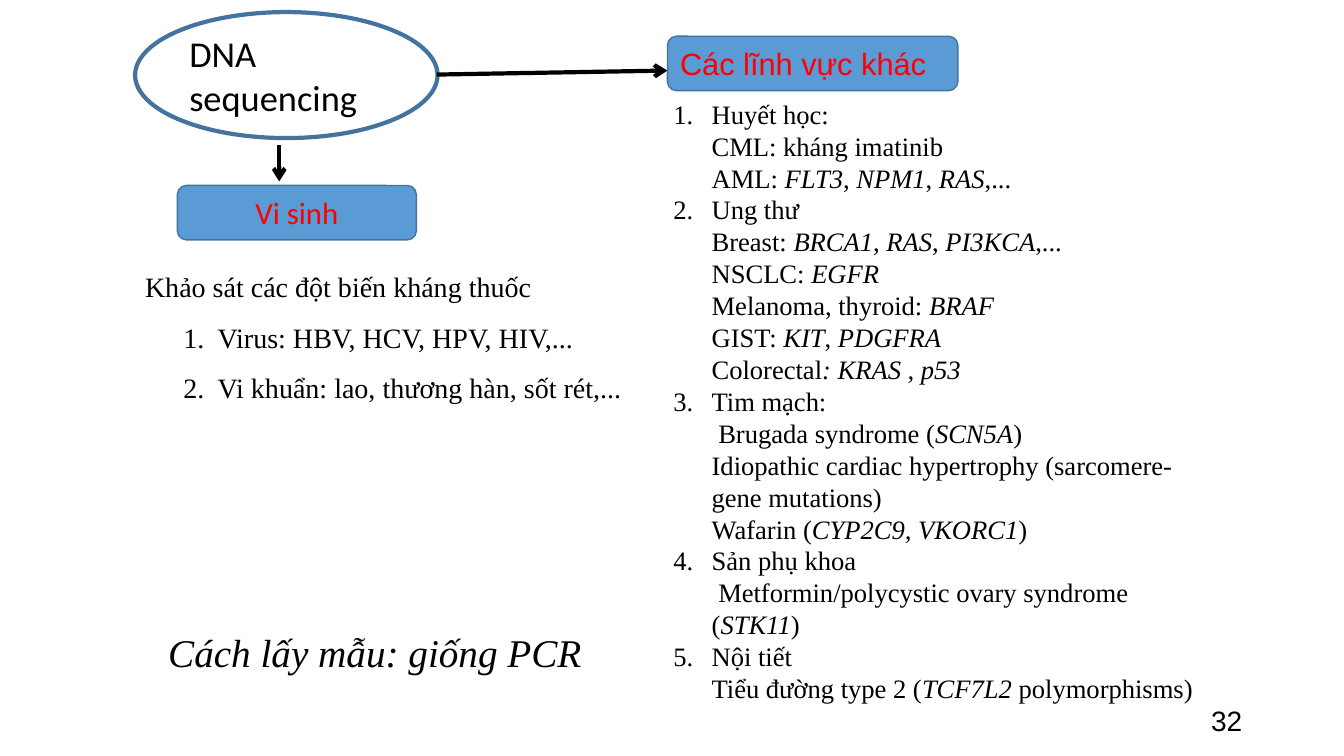
from lxml import etree
from pptx import Presentation
from pptx.dml.color import RGBColor
from pptx.enum.shapes import MSO_CONNECTOR, MSO_SHAPE
from pptx.enum.text import MSO_ANCHOR, PP_ALIGN
from pptx.oxml.ns import qn
from pptx.util import Inches, Pt

OVAL, ROUND = MSO_SHAPE.OVAL, MSO_SHAPE.ROUNDED_RECTANGLE
LINE = MSO_CONNECTOR.STRAIGHT
MIDDLE, TOP = MSO_ANCHOR.MIDDLE, MSO_ANCHOR.TOP
LEFT, CENTER, RIGHT = PP_ALIGN.LEFT, PP_ALIGN.CENTER, PP_ALIGN.RIGHT
SERIF, SANS, BODY = "Times New Roman", "Arial", "Calibri"
BLACK, RED, BLUE, EDGE = "000000", "FF0000", "5B9BD5", "43739E"

GERMS = ["Virus: HBV, HCV, HPV, HIV,...", "Vi khuẩn: lao, thương hàn, sốt rét,..."]
FIELDS = [
    ["Huyết học:", "CML: kháng imatinib", "AML: *FLT3*, *NPM1*, *RAS*,..."],
    ["Ung thư", "Breast: *BRCA1*, *RAS*, *PI3KCA*,...", "NSCLC: *EGFR*",
     "Melanoma, thyroid: *BRAF*", "GIST: *KIT*, *PDGFRA*",
     "Colorectal*: KRAS , p53*"],
    ["Tim mạch:", " Brugada syndrome (*SCN5A*)",
     "Idiopathic cardiac hypertrophy (sarcomere-gene mutations)",
     "Wafarin (*CYP2C9, VKORC1*)"],
    ["Sản phụ khoa", " Metformin/polycystic ovary syndrome (*STK11*)"],
    ["Nội tiết", "Tiểu đường type 2 (*TCF7L2* polymorphisms)"],
]


def color(code):
    """Turn a hex string into a colour."""
    return RGBColor.from_string(code)


def style(para, size, face, tint=BLACK, align=LEFT):
    """Set the font and alignment of a paragraph."""
    para.alignment = align
    para.font.size, para.font.name = Pt(size), face
    para.font.color.rgb = color(tint)


def number(para, margin, hang):
    """Give a paragraph an automatic number with a hanging indent."""
    props = para._p.get_or_add_pPr()
    props.set("marL", str(Inches(margin)))
    props.set("indent", str(-Inches(hang)))
    etree.SubElement(props, qn("a:buFont"), typeface="+mj-lt")
    etree.SubElement(props, qn("a:buAutoNum"), type="arabicPeriod")


def write(para, lines):
    """Write lines split by breaks, with starred parts in italics."""
    for row, line in enumerate(lines):
        if row:
            para.add_line_break()
        for part, text in enumerate(line.split("*")):
            if text:
                run = para.add_run()
                run.text = text
                run.font.italic = part % 2 == 1


def textbox(slide, box, anchor=TOP, wrap=True):
    """Add a text box and return its frame."""
    frame = slide.shapes.add_textbox(*map(Inches, box)).text_frame
    frame.word_wrap, frame.vertical_anchor = wrap, anchor
    return frame


def label(slide, box, text, size, face, align=LEFT, anchor=TOP, wrap=True):
    """Add a text box of one line and return its paragraph."""
    para = textbox(slide, box, anchor, wrap).paragraphs[0]
    para.text = text
    style(para, size, face, BLACK, align)
    return para


def node(slide, kind, box, text, size, face, tint, align, fill, width):
    """Add an outlined shape with text."""
    shape = slide.shapes.add_shape(kind, *map(Inches, box))
    shape.shadow.inherit = False
    if fill:
        shape.fill.solid()
        shape.fill.fore_color.rgb = color(fill)
    else:
        shape.fill.background()
    shape.line.color.rgb, shape.line.width = color(EDGE), Pt(width)
    frame = shape.text_frame
    frame.word_wrap, frame.vertical_anchor = True, MIDDLE
    frame.text = text
    style(frame.paragraphs[0], size, face, tint, align)


def arrow(slide, *ends):
    """Add a black arrow from one point to another."""
    link = slide.shapes.add_connector(LINE, *map(Inches, ends))
    link.line.color.rgb, link.line.width = color(BLACK), Pt(3)
    etree.SubElement(link.line._get_or_add_ln(), qn("a:tailEnd"), type="arrow")
    etree.SubElement(link._element.spPr, qn("a:effectLst"))


def germs(slide, left, top, width):
    """Add the microbiology branch."""
    node(slide, ROUND, (left + 0.42, top, 2.37, 0.54), "Vi sinh",
         22, BODY, RED, CENTER, BLUE, 1)
    frame = textbox(slide, (left, top + 0.62, width, 1.62))
    for row, text in enumerate(["Khảo sát các đột biến kháng thuốc"] + GERMS):
        para = frame.add_paragraph() if row else frame.paragraphs[0]
        para.text, para.line_spacing = text, 1.5
        if row:
            number(para, 0.72, 0.34)
        style(para, 20, SERIF)


def fields(slide, left, top, width):
    """Add the branch of other fields."""
    node(slide, ROUND, (left + 0.04, top, 2.88, 0.54), "Các lĩnh vực khác",
         22, SANS, RED, LEFT, BLUE, 1)
    frame = textbox(slide, (left, top + 0.56, width, 6.5))
    for row, lines in enumerate(FIELDS):
        para = frame.add_paragraph() if row else frame.paragraphs[0]
        number(para, 0.38, 0.38)
        write(para, lines)
        style(para, 19, SERIF)


def main():
    """Build and save the slide."""
    deck = Presentation()
    deck.slide_width, deck.slide_height = Inches(13.33), Inches(7.5)
    slide = deck.slides.add_slide(deck.slide_layouts[6])
    label(slide, (9.42, 6.95, 3, 0.4), "32", 20, SANS, RIGHT, MIDDLE)
    node(slide, OVAL, (1.34, 0.12, 3, 1.25), "DNA sequencing",
         26, BODY, BLACK, LEFT, None, 3)
    germs(slide, 1.34, 1.84, 5.5)
    fields(slide, 6.58, 0.36, 5.42)
    arrow(slide, 4.33, 0.74, 6.62, 0.7)
    arrow(slide, 2.77, 1.44, 2.77, 1.8)
    note = label(slide, (1.57, 6.18, 4.34, 0.57), "Cách lấy mẫu: giống PCR",
                 28, SERIF, wrap=False)
    note.font.italic = True
    deck.save("out.pptx")


if __name__ == "__main__":
    main()
